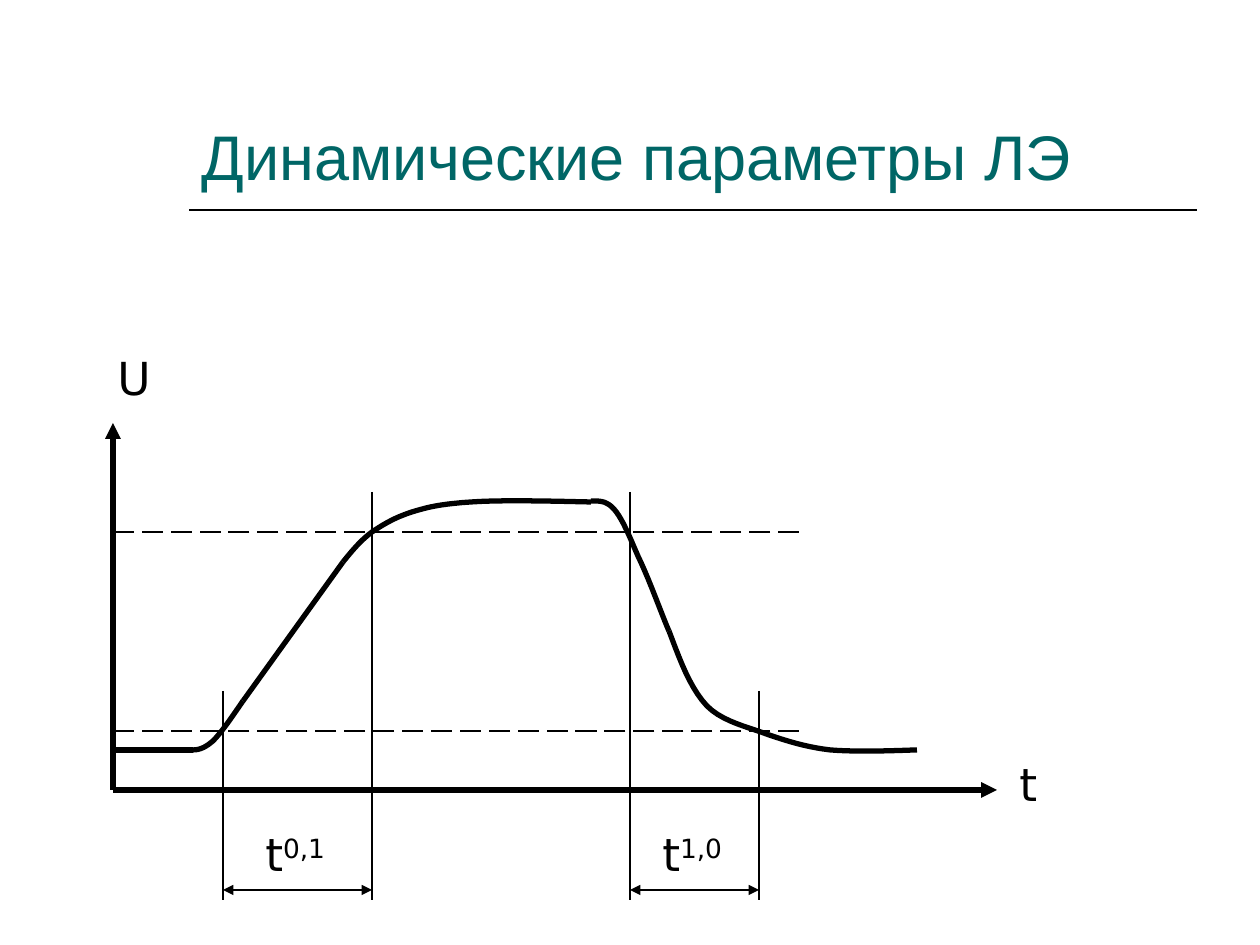
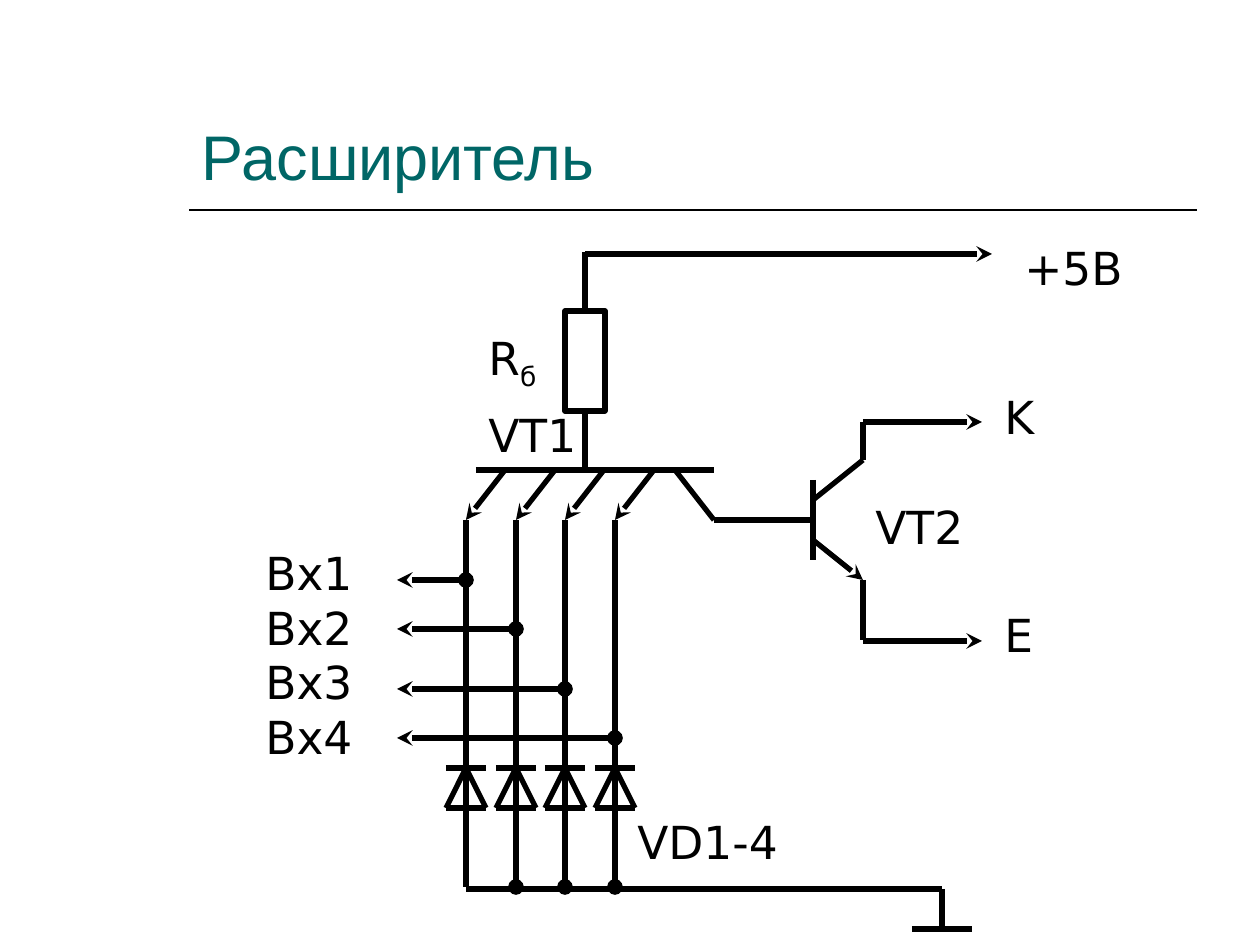
"""Build two slides on logic element dynamics and the expander circuit."""
from lxml import etree
from pptx import Presentation, util as u
from pptx.dml.color import RGBColor
from pptx.enum import dml, shapes, text
from pptx.oxml import ns

SCALE = 914400 / 126
COLORS = {"title": "006666", "ink": "000000", "paper": "FFFFFF"}
TITLE_FONT, LABEL_FONT = "Arial", "DejaVu Sans"
THIN, MEDIUM, THICK = 1, 1.5, 3
CURVE_STEPS = 10


def px(length):
    """Turn px into EMU."""
    return u.Emu(round(length * SCALE))


def color(name):
    """Look up a palette colour."""
    return RGBColor.from_string(COLORS[name])


def style_font(font, face, size, name):
    """Set face, size and colour of a font."""
    font.name = face
    font.size = u.Pt(size)
    font.color.rgb = color(name)


def wire(canvas, start, end, width=THICK, head=None, tail=None, dash=None):
    """Draw a straight line with optional ends and dashes."""
    line = canvas.add_connector(
        shapes.MSO_CONNECTOR.STRAIGHT, *map(px, (*start, *end)))
    line.line.color.rgb = color("ink")
    line.line.width = u.Pt(width)
    if dash:
        line.line.dash_style = dash
    properties = line._element.spPr
    outline = properties.find(ns.qn("a:ln"))
    for tag, kind in (("a:headEnd", head), ("a:tailEnd", tail)):
        if kind:
            etree.SubElement(outline, ns.qn(tag), type=kind)
    etree.SubElement(properties, ns.qn("a:effectLst"))
    return line


def bezier(start, first, second, end):
    """Return points along a cubic curve, without its start."""
    points = []
    for step in range(1, CURVE_STEPS + 1):
        t = step / CURVE_STEPS
        weights = ((1 - t) ** 3, 3 * t * (1 - t) ** 2, 3 * t * t * (1 - t), t ** 3)
        points.append(tuple(
            px(sum(w * value for w, value in zip(weights, axis)))
            for axis in zip(start, first, second, end)))
    return points


def curve(canvas, knots):
    """Draw a smooth open stroke through chained cubic segments."""
    builder = canvas.build_freeform(*map(px, knots[0]))
    for index in range(0, len(knots) - 1, 3):
        builder.add_line_segments(bezier(*knots[index:index + 4]), close=False)
    stroke = builder.convert_to_shape()
    stroke.shadow.inherit = False
    stroke.fill.background()
    stroke.line.color.rgb = color("ink")
    stroke.line.width = u.Pt(THICK)


def label(canvas, words, left, top, width=129, height=68, index="", baseline=0):
    """Write a label with an optional raised or lowered index."""
    box = canvas.add_textbox(*map(px, (left, top, width, height)))
    frame = box.text_frame
    frame.word_wrap = True
    frame.text = words
    para = frame.paragraphs[0]
    if index:
        span = para.add_run()
        span.text = index
        span._r.get_or_add_rPr().set("baseline", str(baseline * 1000))
    for span in para.runs:
        style_font(span.font, LABEL_FONT, 26, "ink")


def add_page(deck, heading, top):
    """Add a slide with the shared title style and rule."""
    page = deck.slides.add_slide(deck.slide_layouts[5])
    title = page.shapes.title
    title.left, title.top, title.width, title.height = map(
        px, (189, top, 1008, 199 - top))
    frame = title.text_frame
    frame.text = heading
    frame.word_wrap = True
    frame.auto_size = text.MSO_AUTO_SIZE.NONE
    frame.vertical_anchor = text.MSO_ANCHOR.BOTTOM
    para = frame.paragraphs[0]
    para.alignment = text.PP_ALIGN.LEFT
    style_font(para.runs[0].font, TITLE_FONT, 36, "title")
    wire(page.shapes, (189, 210), (1197, 210), THIN)
    return page.shapes


def draw_axes(canvas):
    """Draw the voltage and time axes."""
    origin = (113, 790)
    for end in ((113, 423), (997, 790)):
        wire(canvas, origin, end, tail="triangle")
    label(canvas, "U", 105, 344, 79)
    label(canvas, "t", 1007, 750, 79)


def draw_pulse(canvas):
    """Draw the output pulse."""
    wire(canvas, (113, 750), (193, 750))
    curve(canvas, [(193, 750), (199, 750), (205, 748), (213, 741),
                   (222, 732), (232, 717), (243, 701)])
    wire(canvas, (243, 701), (343, 562))
    curve(canvas, [(343, 562), (352, 551), (360, 541), (372, 532),
                   (384, 524), (396, 517), (412, 512),
                   (428, 507), (441, 504), (471, 502),
                   (501, 500), (546, 501), (591, 502)])
    curve(canvas, [(591, 501), (598, 501), (606, 500), (614, 509),
                   (622, 518), (629, 535), (638, 556),
                   (648, 576), (664, 620), (669, 631)])
    curve(canvas, [(669, 631), (680, 660), (690, 688), (707, 706),
                   (723, 722), (748, 727), (769, 735),
                   (790, 742), (806, 747), (830, 750),
                   (856, 752), (887, 751), (917, 750)])


def draw_delay(canvas, begin, end, index, label_left):
    """Mark a switching time between two (x, top) limits."""
    for x, top in (begin, end):
        wire(canvas, (x, top), (x, 900), MEDIUM)
    wire(canvas, (begin[0], 890), (end[0], 890), MEDIUM, "triangle", "triangle")
    label(canvas, "t", label_left, 820, 100, index=index, baseline=30)


def draw_diode(canvas, x):
    """Draw a diode pointing up, centred on x."""
    symbol = canvas.add_group_shape().shapes
    left, right, top, bottom = x - 20, x + 20, 768, 808
    for y in (top, bottom):
        wire(symbol, (left, y), (right, y))
    for corner in (right, left):
        wire(symbol, (x, top), (corner, bottom))


def draw_inputs(canvas):
    """Draw the emitters, input taps and diodes, one column each."""
    for number, tap in enumerate((580, 629, 689, 738)):
        x = 466 + round(49.6 * number)
        wire(canvas, (x, 520), (x + 39, 470), head="stealth")
        wire(canvas, (x, 520), (x, tap))
        wire(canvas, (x, tap), (397, tap), tail="stealth")
        draw_diode(canvas, x)
        wire(canvas, (x, 887), (x, tap), head="oval" if number else None, tail="oval")
    label(canvas, "Вх1\vВх2\vВх3\vВх4", 253, 539, height=232)
    label(canvas, "VD1-4", 625, 808, 228)


def draw_supply(canvas):
    """Draw the supply line, base resistor and ground."""
    resistor = canvas.add_shape(
        shapes.MSO_SHAPE.RECTANGLE, *map(px, (565, 311, 40, 100)))
    resistor.shadow.inherit = False
    resistor.fill.solid()
    resistor.fill.fore_color.rgb = color("paper")
    resistor.line.color.rgb = color("ink")
    resistor.line.width = u.Pt(THICK)
    wire(canvas, (585, 252), (585, 311)).end_connect(resistor, 0)
    wire(canvas, (585, 411), (585, 470)).begin_connect(resistor, 2)
    wire(canvas, (585, 254), (992, 254), tail="stealth")
    for start, end in (((466, 889), (942, 889)), ((942, 889), (942, 929)),
                       ((912, 929), (972, 929))):
        wire(canvas, start, end)
    label(canvas, "R", 476, 324, 89, 76, index="б", baseline=-25)
    label(canvas, "+5В", 1012, 234)


def draw_transistors(canvas):
    """Draw the VT1 base and collector and the whole of VT2."""
    for start, end in (((476, 470), (714, 470)), ((675, 470), (714, 520)),
                       ((714, 520), (813, 520)), ((813, 480), (813, 560)),
                       ((813, 500), (863, 460)), ((863, 422), (863, 460)),
                       ((863, 580), (863, 640))):
        wire(canvas, start, end)
    wire(canvas, (863, 580), (813, 540), head="stealth")
    for name, y, label_top in (("K", 422, 383), ("E", 641, 601)):
        wire(canvas, (863, y), (982, y), tail="stealth")
        label(canvas, name, 992, label_top)
    label(canvas, "VT1", 476, 401)
    label(canvas, "VT2", 863, 493)


def main():
    """Build and save the deck."""
    deck = Presentation()
    deck.slide_width, deck.slide_height = px(1260), px(945)

    timing = add_page(deck, "Динамические параметры ЛЭ", 42)
    draw_axes(timing)
    draw_pulse(timing)
    for level in (532, 731):
        wire(timing, (799, level), (113, level), MEDIUM,
             dash=dml.MSO_LINE.LONG_DASH)
    draw_delay(timing, (223, 691), (372, 492), "0,1", 253)
    draw_delay(timing, (630, 492), (759, 691), "1,0", 650)

    expander = add_page(deck, "Расширитель", 6)
    draw_supply(expander)
    draw_inputs(expander)
    draw_transistors(expander)

    deck.save("out.pptx")


if __name__ == "__main__":
    main()
